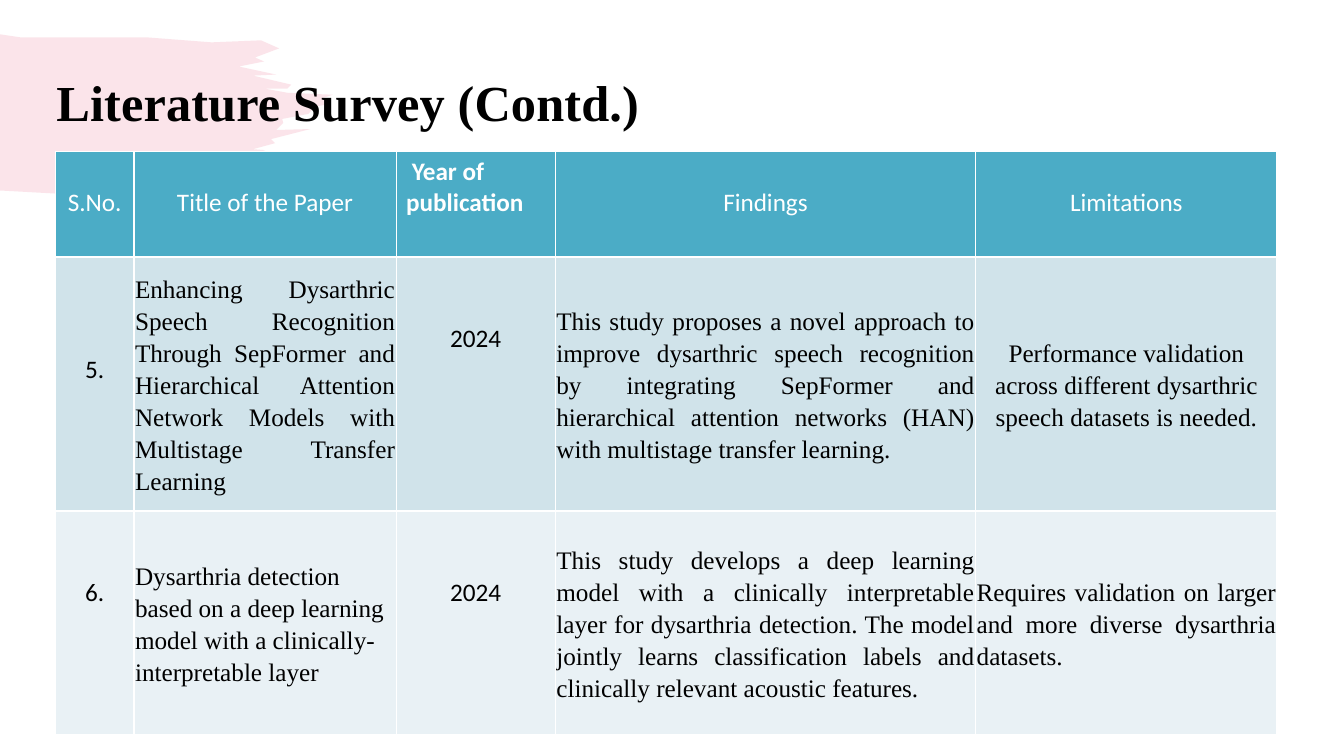
"""Build the literature survey slide with its brush stroke, title and table."""
from dataclasses import dataclass

from lxml import etree
from pptx import Presentation
from pptx.dml.color import RGBColor
from pptx.enum.text import MSO_ANCHOR, MSO_AUTO_SIZE, PP_ALIGN
from pptx.oxml.ns import qn
from pptx.util import Pt

LEFT, CENTER, JUSTIFY = PP_ALIGN.LEFT, PP_ALIGN.CENTER, PP_ALIGN.JUSTIFY
TOP, MIDDLE = MSO_ANCHOR.TOP, MSO_ANCHOR.MIDDLE
GROW = MSO_AUTO_SIZE.SHAPE_TO_FIT_TEXT
SANS, SERIF = "Calibri", "Times New Roman"
WHITE, BLACK, PINK = "FFFFFF", "000000", "EF7B97"
ROW_FILLS = ["4BACC6", "D0E3EA", "E9F1F5"]
COLUMN_WIDTHS = [56.16, 187.2, 113.76, 300.24, 215.28]
ROW_HEIGHTS = [75.6, 181.44, 159.84]
TABLE_LEFT, TABLE_TOP = 39.6, 108
STROKE_UNIT = 0.72
STROKE_POINTS = [
    (0, 34), (0, 189), (55, 192), (102, 188), (197, 172), (263, 149),
    (251, 148), (273, 142), (269, 138), (308, 128), (274, 129), (281, 122),
    (280, 118), (306, 113), (312, 106), (322, 104), (321, 97), (330, 94),
    (285, 92), (263, 88), (285, 88), (289, 84), (251, 75), (274, 74),
    (237, 66), (262, 61), (253, 57), (277, 48), (259, 40), (210, 42),
    (145, 37), (20, 37),
]


@dataclass
class Entry:
    """Text of one table cell and how it is set."""
    text: str
    font: str = SANS
    color: str = BLACK
    align: PP_ALIGN = CENTER
    top: float = 47.6
    bold: bool = False
    indent: float = 0


def heading(text: str) -> Entry:
    """Return a column heading."""
    return Entry(text, color=WHITE, top=25.6)


def prose(text: str, align: PP_ALIGN = JUSTIFY) -> Entry:
    """Return a vertically centred serif passage."""
    return Entry(text, SERIF, align=align, top=0.72)


SURVEY = [
    [heading("S.No."), heading("Title of the Paper"),
     Entry("Year of publication", color=WHITE, align=LEFT, top=3.6, bold=True, indent=4),
     heading("Findings"), heading("Limitations")],
    [Entry("5.", top=69.6),
     prose("Enhancing Dysarthric Speech Recognition Through SepFormer and Hierarchical "
           "Attention Network Models with Multistage Transfer Learning"),
     Entry("2024"),
     prose("This study proposes a novel approach to improve dysarthric speech recognition "
           "by integrating SepFormer and hierarchical attention networks (HAN) with "
           "multistage transfer learning."),
     prose("Performance validation across different dysarthric speech datasets is needed.",
           CENTER)],
    [Entry("6."),
     prose("Dysarthria detection based on a deep learning model with a "
           "clinically-interpretable layer", LEFT),
     Entry("2024"),
     prose("This study develops a deep learning model with a clinically interpretable layer "
           "for dysarthria detection. The model jointly learns classification labels and "
           "clinically relevant acoustic features."),
     prose("Requires validation on larger and more diverse dysarthria datasets.")],
]


def rgb(color: str) -> RGBColor:
    """Turn a hex string into a colour."""
    return RGBColor.from_string(color)


def add_run(paragraph, text: str, font: str, size: float, color: str, bold: bool):
    """Append one formatted run."""
    run = paragraph.add_run()
    run.text = text
    run.font.name, run.font.size, run.font.bold = font, Pt(size), bold
    run.font.color.rgb = rgb(color)
    return run


def add_brush_stroke(slide) -> None:
    """Draw the translucent pink stroke behind the title."""
    builder = slide.shapes.build_freeform(*STROKE_POINTS[0], scale=Pt(STROKE_UNIT))
    builder.add_line_segments(STROKE_POINTS[1:], close=True)
    stroke = builder.convert_to_shape()
    stroke.shadow.inherit = False
    stroke.line.fill.background()
    stroke.fill.solid()
    stroke.fill.fore_color.rgb = rgb(PINK)
    tint = stroke._element.spPr.find(".//" + qn("a:srgbClr"))
    etree.SubElement(tint, qn("a:alpha"), val="20000")


def add_title(slide) -> None:
    """Write the slide title."""
    frame = slide.shapes.add_textbox(Pt(39.6), Pt(48.24), Pt(602.64), Pt(44.64)).text_frame
    frame.word_wrap, frame.auto_size = True, GROW
    frame.margin_left, frame.margin_top = Pt(0.72), Pt(2.74)
    frame.margin_right = frame.margin_bottom = 0
    title = add_run(frame.paragraphs[0], "Literature Survey (Contd.)", SERIF, 36, BLACK, True)
    title._r.get_or_add_rPr().set("spc", "10")


def add_borders(cell) -> None:
    """Put a thin white line on each side of a cell."""
    properties = cell._tc.get_or_add_tcPr()
    for position, side in enumerate(("a:lnL", "a:lnR", "a:lnT", "a:lnB")):
        border = etree.Element(qn(side), w=str(int(Pt(1))))
        fill = etree.SubElement(border, qn("a:solidFill"))
        etree.SubElement(fill, qn("a:srgbClr"), val=WHITE)
        properties.insert(position, border)


def fill_cell(cell, entry: Entry, fill: str) -> None:
    """Set a cell's text, margins, fill and borders."""
    is_prose = entry.font == SERIF
    cell.fill.solid()
    cell.fill.fore_color.rgb = rgb(fill)
    cell.vertical_anchor = MIDDLE if is_prose else TOP
    cell.margin_top = Pt(entry.top)
    cell.margin_left = cell.margin_right = Pt(0.72 if is_prose else 7.2)
    cell.margin_bottom = Pt(0.72 if is_prose else 3.6)
    paragraph = cell.text_frame.paragraphs[0]
    paragraph.alignment = entry.align
    if is_prose:
        paragraph.line_spacing, paragraph.space_after = 1.15, Pt(8)
    if entry.indent:
        paragraph._p.get_or_add_pPr().set("indent", str(int(Pt(entry.indent))))
    add_run(paragraph, entry.text, entry.font, 18, entry.color, entry.bold)
    add_borders(cell)


def add_survey(slide) -> None:
    """Add the table of surveyed papers."""
    table = slide.shapes.add_table(
        len(ROW_HEIGHTS), len(COLUMN_WIDTHS), Pt(TABLE_LEFT), Pt(TABLE_TOP),
        Pt(sum(COLUMN_WIDTHS)), Pt(sum(ROW_HEIGHTS))).table
    table.horz_banding = False
    for column, width in zip(table.columns, COLUMN_WIDTHS):
        column.width = Pt(width)
    for row, height, entries, fill in zip(table.rows, ROW_HEIGHTS, SURVEY, ROW_FILLS):
        row.height = Pt(height)
        for cell, entry in zip(row.cells, entries):
            fill_cell(cell, entry, fill)


def main() -> None:
    """Build and save the presentation."""
    deck = Presentation()
    deck.slide_width, deck.slide_height = Pt(960), Pt(540)
    slide = deck.slides.add_slide(deck.slide_layouts[6])
    add_brush_stroke(slide)
    add_title(slide)
    add_survey(slide)
    deck.save("out.pptx")


if __name__ == "__main__":
    main()
